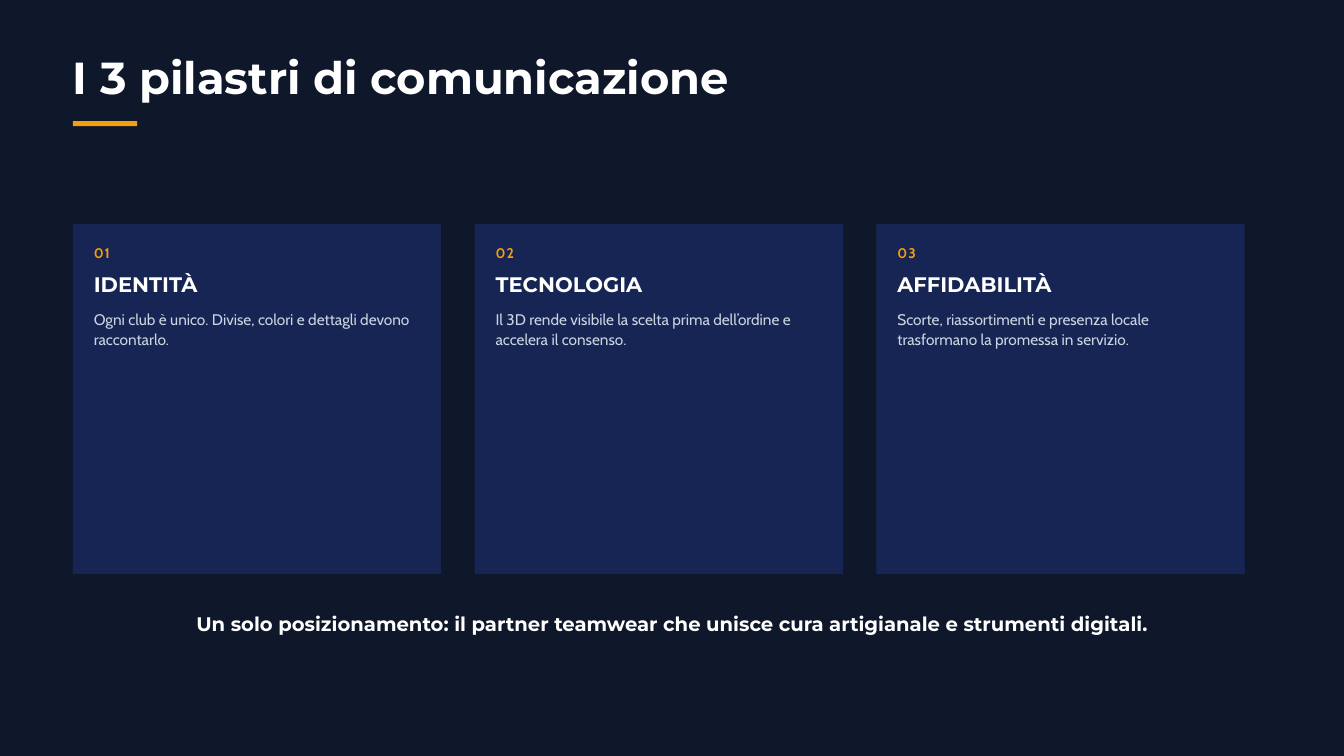
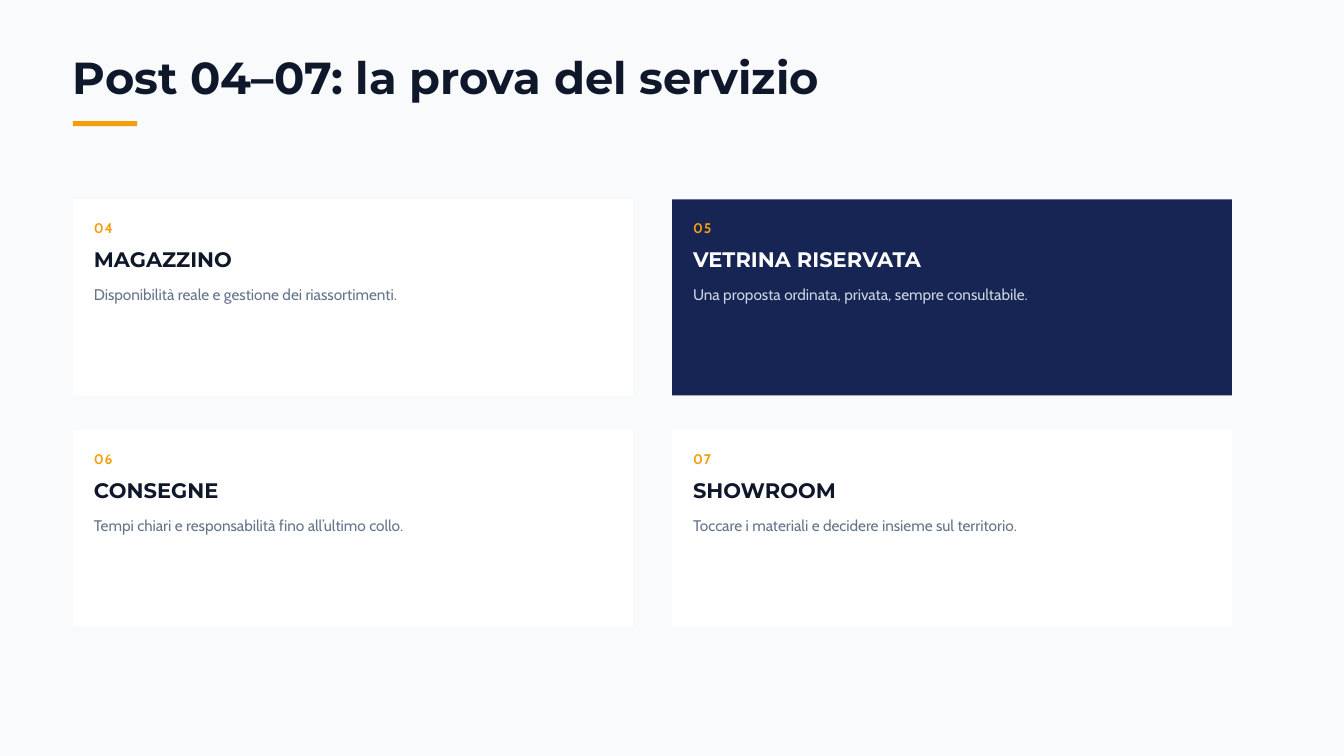
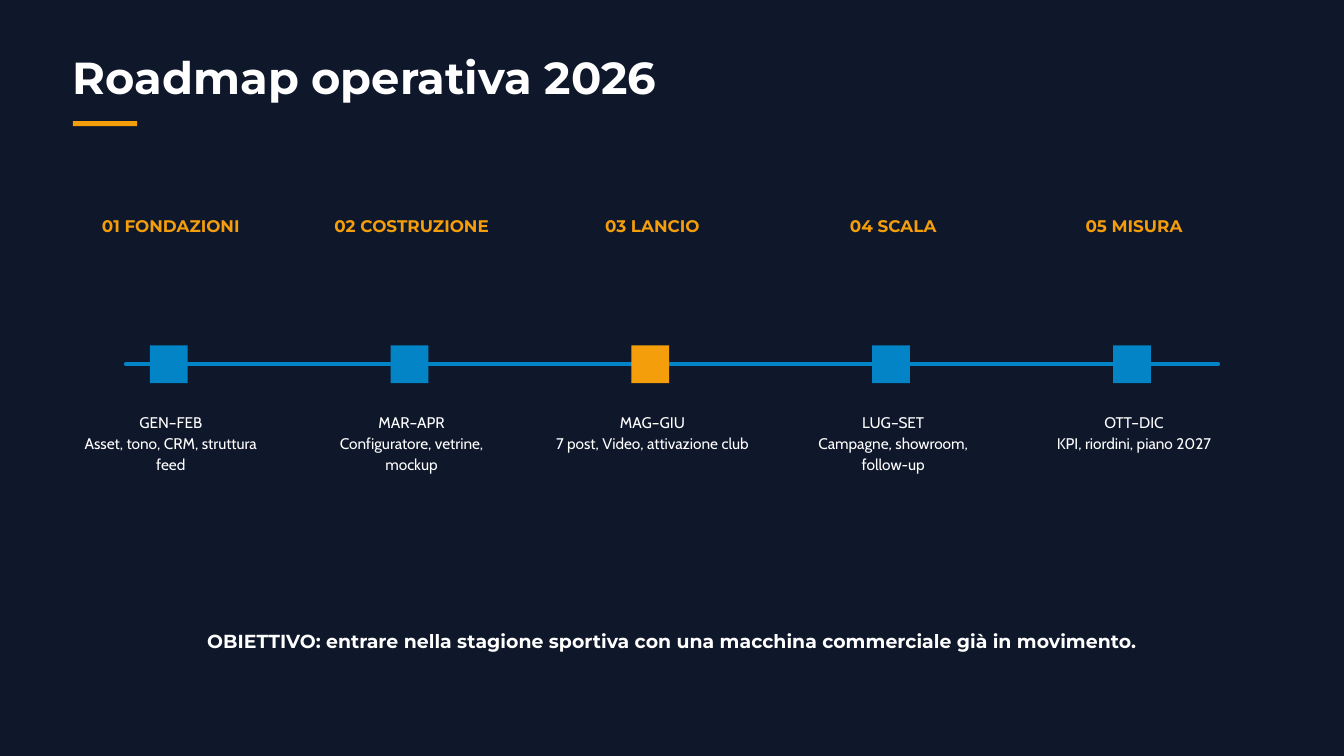
from pptx import Presentation
from pptx.dml.color import RGBColor
from pptx.enum import shapes, text
from pptx.oxml.ns import qn
from pptx.oxml.xmlchemy import OxmlElement
from pptx.util import Pt

COLORS = {
    "night": "0F172A", "paper": "F8FAFC", "white": "FFFFFF", "navy": "172554",
    "amber": "F59E0B", "blue": "0284C7", "mist": "CBD5E1", "slate": "64748B",
}
RGB = {name: RGBColor.from_string(value) for name, value in COLORS.items()}
# font, size, bold, line spacing, letter spacing in hundredths of a point
STYLES = {
    "title": ("Montserrat", 48, True, 49, 0),
    "number": ("Cabin", 15, True, 20.2, 120),
    "heading": ("Montserrat", 22.5, True, 22.9, 0),
    "body": ("Cabin", 16.5, False, 22.3, 0),
    "phase": ("Montserrat", 18, True, 18.4, 0),
    "claim": ("Montserrat", 21, True, 21.4, 0),
    "goal": ("Montserrat", 20.25, True, 20.6, 0),
}
LEFT, CENTER = text.PP_ALIGN.LEFT, text.PP_ALIGN.CENTER
MARGIN, SLIDE_W, SLIDE_H = 78, 1440, 810


def put_text(s, box, content, style, color, align=LEFT):
    """Fill the title placeholder, or a new text box for any other style."""
    x, y, w, h = map(Pt, box)
    if style == "title":
        sp = s.shapes.title
        sp.left, sp.top, sp.width, sp.height = x, y, w, h
    else:
        sp = s.shapes.add_textbox(x, y, w, h)
    font, size, bold, leading, tracking = STYLES[style]
    tf = sp.text_frame
    tf.text = content
    tf.word_wrap = True
    tf.auto_size = text.MSO_AUTO_SIZE.NONE
    tf.vertical_anchor = text.MSO_ANCHOR.TOP
    tf.margin_left = tf.margin_top = tf.margin_right = tf.margin_bottom = 0
    for p in tf.paragraphs:
        p.alignment, p.line_spacing, p.space_before = align, Pt(leading), Pt(0)
        for r in p.runs:
            r.font.name, r.font.size, r.font.bold = font, Pt(size), bold
            r.font.color.rgb = RGB[color]
            if tracking:
                r.font._element.set("spc", str(tracking))


def add_block(s, box, color):
    sp = s.shapes.add_shape(shapes.MSO_SHAPE.RECTANGLE, *map(Pt, box))
    sp.shadow.inherit = False
    sp.fill.solid()
    sp.fill.fore_color.rgb = RGB[color]
    sp.line.fill.background()


prs = Presentation()
prs.slide_width, prs.slide_height = Pt(SLIDE_W), Pt(SLIDE_H)

# Background, title and accent bar of every slide
slides = []
for title, background, ink in [
    ("I 3 pilastri di comunicazione", "night", "white"),
    ("Post 04–07: la prova del servizio", "paper", "night"),
    ("Roadmap operativa 2026", "night", "white"),
]:
    s = prs.slides.add_slide(prs.slide_layouts[5])
    s.background.fill.solid()
    s.background.fill.fore_color.rgb = RGB[background]
    put_text(s, (MARGIN, 61.5, 1125, 49.5), title, "title", ink)
    add_block(s, (MARGIN, 129.75, 69, 5.5), "amber")
    slides.append(s)
pillars, service, roadmap = slides

# Cards: pillars in one row, service posts in a two by two grid
card_sets = [
    (pillars, 3, (240, 394.5, 375), (430.5, 0), 1, [
        ("IDENTITÀ", "Ogni club è unico. Divise, colori e dettagli devono raccontarlo.", "navy"),
        ("TECNOLOGIA", "Il 3D rende visibile la scelta prima dell’ordine e accelera il consenso.", "navy"),
        ("AFFIDABILITÀ", "Scorte, riassortimenti e presenza locale trasformano la promessa in servizio.", "navy"),
    ]),
    (service, 2, (213.75, 600, 210), (642, 247.5), 4, [
        ("MAGAZZINO", "Disponibilità reale e gestione dei riassortimenti.", "white"),
        ("VETRINA RISERVATA", "Una proposta ordinata, privata, sempre consultabile.", "navy"),
        ("CONSEGNE", "Tempi chiari e responsabilità fino all’ultimo collo.", "white"),
        ("SHOWROOM", "Toccare i materiali e decidere insieme sul territorio.", "white"),
    ]),
]
for s, columns, (top, w, h), (step_x, step_y), first, cards in card_sets:
    for i, (heading, body, fill) in enumerate(cards):
        row, column = divmod(i, columns)
        x, y = MARGIN + column * step_x, top + row * step_y
        heading_ink, body_ink = ("white", "mist") if fill == "navy" else ("night", "slate")
        add_block(s, (x, y, w, h), fill)
        for dy, height, content, style, ink in [
            (19.75, 19.5, f"{first + i:02d}", "number", "amber"),
            (54.75, 24.5, heading, "heading", heading_ink),
            (89.25, 42.5, body, "body", body_ink),
        ]:
            put_text(s, (x + 22.5, y + dy, w - 45, height), content, style, ink)

# Timeline
AXIS_Y, STEP, LABEL_W, MARKER = 390.25, 258, 210, 40.5
axis = roadmap.shapes.add_connector(
    shapes.MSO_CONNECTOR.STRAIGHT, Pt(135), Pt(AXIS_Y), Pt(SLIDE_W - 135), Pt(AXIS_Y))
axis.line.color.rgb = RGB["blue"]
axis.line.width = Pt(4.5)
axis_pr = axis._element.spPr
axis_pr.find(qn("a:ln")).set("cap", "rnd")
axis_pr.append(OxmlElement("a:effectLst"))

phases = [
    ("01 FONDAZIONI", "GEN–FEB", "Asset, tono, CRM, struttura feed", "blue"),
    ("02 COSTRUZIONE", "MAR–APR", "Configuratore, vetrine, mockup", "blue"),
    ("03 LANCIO", "MAG–GIU", "7 post, Video, attivazione club", "amber"),
    ("04 SCALA", "LUG–SET", "Campagne, showroom, follow-up", "blue"),
    ("05 MISURA", "OTT–DIC", "KPI, riordini, piano 2027", "blue"),
]
for i, (phase, months, work, color) in enumerate(phases):
    x = MARGIN + i * STEP
    add_block(roadmap, (x + 82.5, AXIS_Y - MARKER / 2, MARKER, MARKER), color)
    put_text(roadmap, (x, 234, LABEL_W, 19.5), phase, "phase", "amber", CENTER)
    put_text(roadmap, (x, 440.5, LABEL_W, 65), f"{months}\n{work}", "body", "white", CENTER)

# Closing lines
for s, y, w, style, content in [
    (pillars, 659.5, 1035, "claim",
     "Un solo posizionamento: il partner teamwear che unisce cura artigianale e strumenti digitali."),
    (roadmap, 678, 1050, "goal",
     "OBIETTIVO: entrare nella stagione sportiva con una macchina commerciale già in movimento."),
]:
    put_text(s, ((SLIDE_W - w) / 2, y, w, 21.5), content, style, "white", CENTER)

prs.save("out.pptx")
